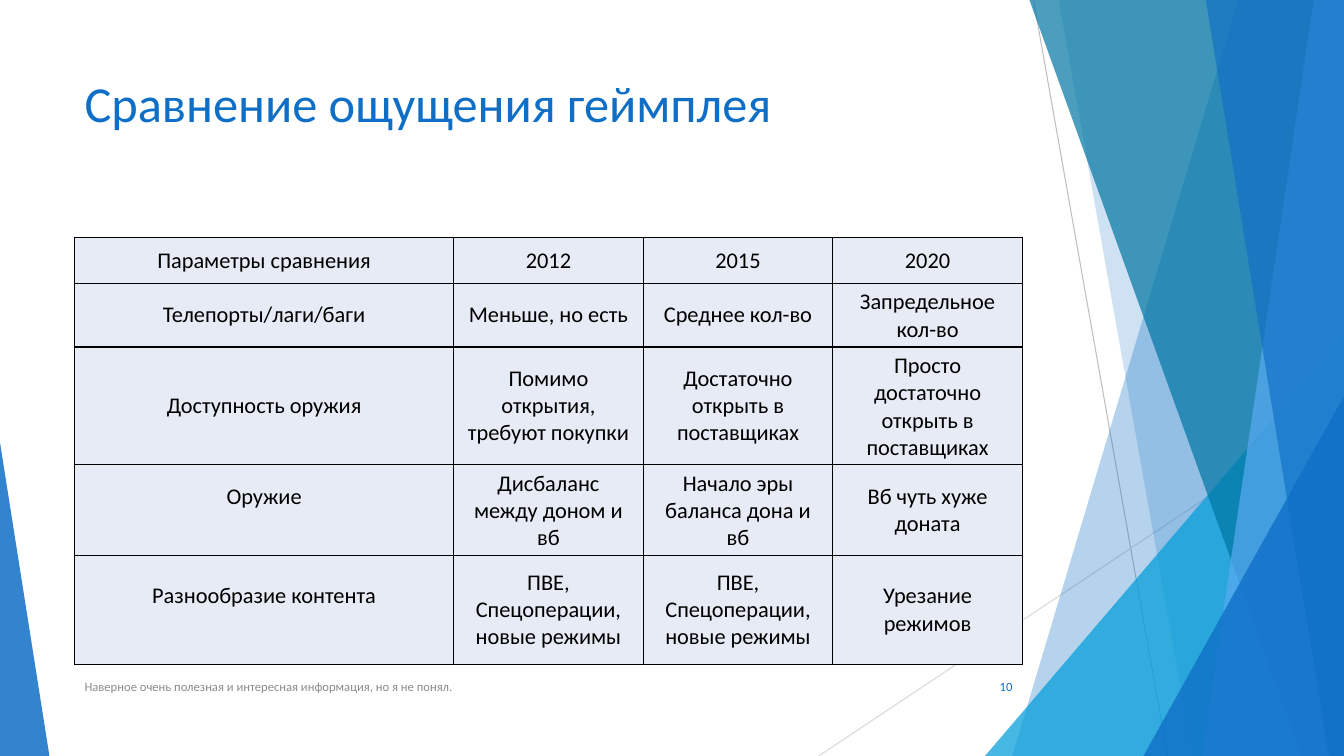
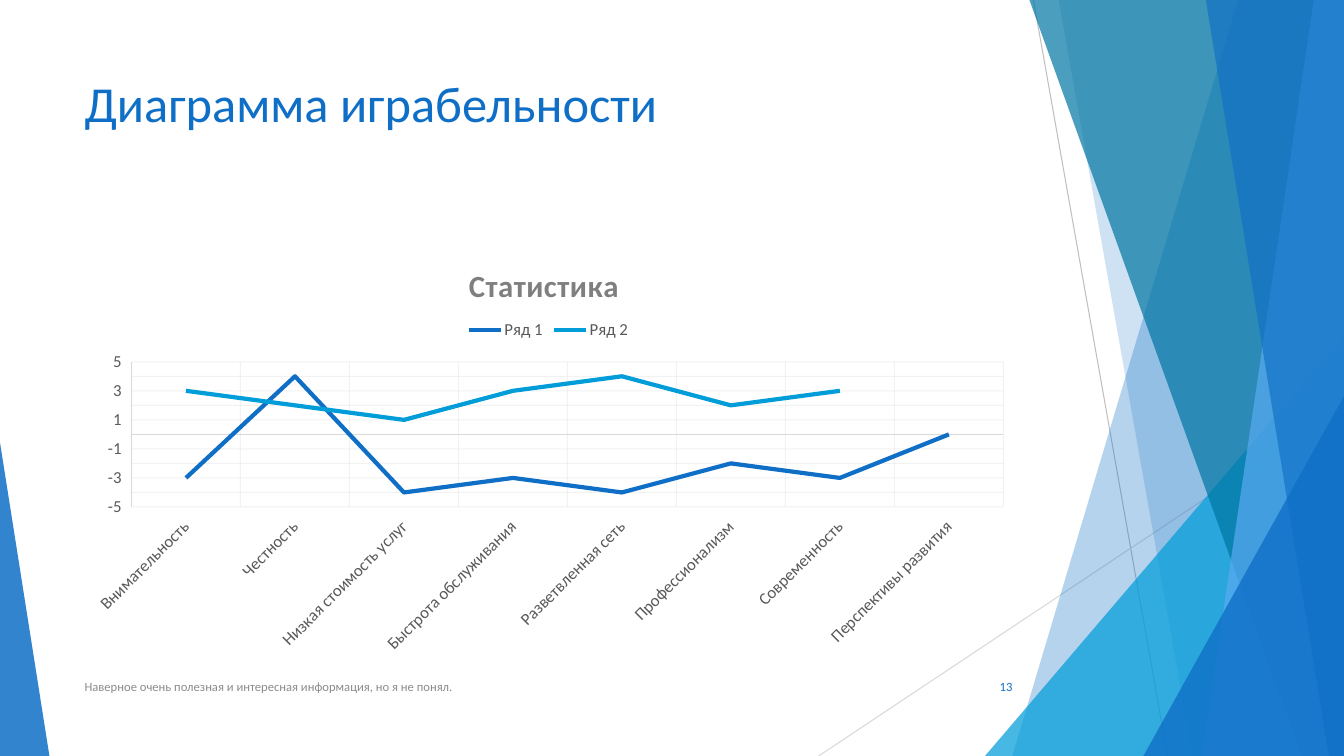
"""Build two slides that compare gameplay in a table and a line chart."""
from pptx import Presentation
from pptx.chart.data import CategoryChartData
from pptx.dml.color import RGBColor
from pptx.enum.chart import XL_CHART_TYPE as CT, XL_LEGEND_POSITION as LEGEND
from pptx.enum.chart import XL_TICK_LABEL_POSITION as LABELS, XL_TICK_MARK as TICK
from pptx.enum.shapes import MSO_CONNECTOR as CONN, MSO_SHAPE as SHAPE
from pptx.enum.text import MSO_ANCHOR as ANCHOR, PP_ALIGN as ALIGN
from pptx.oxml import parse_xml
from pptx.oxml.ns import nsdecls, qn
from pptx.util import Inches, Pt

W, H = 13.33, 7.5
LEFT, TOP, WIDTH = 0.74, 2.36, 9.4
FONT = "Calibri"
HEX = {
    "blue": "0F6FC6", "cyan": "009DD9", "teal": "0076A3", "sky": "59AAF2",
    "cell": "E7EBF5", "black": "000000", "label": "595959", "heading": "7F7F7F",
    "footer": "8C8C8C", "line": "BFBFBF", "grid": "D9D9D9",
}
RGB = {name: RGBColor.from_string(value) for name, value in HEX.items()}
FOOTER = "Наверное очень полезная и интересная информация, но я не понял."
PAGES = [("Сравнение ощущения геймплея", "10"), ("Диаграмма играбельности", "13")]

RAYS = [(10.25, 0, 11.58, H, "line"), (W, 4.03, 8.12, H, "grid")]
PANEL, TRIANGLE = "panel", "triangle"
# Panels give their top and bottom x; triangles give left, right and top.
BANDS = [
    (PANEL, (12.28, 10.04), "blue", 30),
    (PANEL, (10.5, 11.83), "blue", 20),
    (TRIANGLE, (9.77, W, 3.33), "cyan", 72),
    (PANEL, (10.21, 12.91), "teal", 70),
    (PANEL, (13.03, 11.92), "sky", 70),
    (PANEL, (11.96, 13.18), "blue", 65),
    (TRIANGLE, (11.34, W, 3.93), "blue", 80),
    (TRIANGLE, (0, 0.49, 4.39), "blue", 85),
]


def set_alpha(element, percent):
    color = element.find(".//" + qn("a:srgbClr"))
    color.append(parse_xml(f'<a:alpha {nsdecls("a")} val="{percent * 1000}"/>'))


def add_text(s, text, box, size, color, align=ALIGN.LEFT, anchor=ANCHOR.MIDDLE):
    tf = s.shapes.add_textbox(*map(Inches, box)).text_frame
    tf.word_wrap = True
    tf.vertical_anchor = anchor
    p = tf.paragraphs[0]
    p.text = text
    p.alignment = align
    p.font.name, p.font.size, p.font.color.rgb = FONT, Pt(size), RGB[color]


prs = Presentation()
prs.slide_width, prs.slide_height = Inches(W), Inches(H)

for title, number in PAGES:
    s = prs.slides.add_slide(prs.slide_layouts[6])
    for x1, y1, x2, y2, color in RAYS:
        ray = s.shapes.add_connector(CONN.STRAIGHT, *map(Inches, (x1, y1, x2, y2)))
        ray.line.color.rgb, ray.line.width = RGB[color], Pt(0.75)
        ray._element.spPr.append(parse_xml(f'<a:effectLst {nsdecls("a")}/>'))
    for kind, place, color, alpha in BANDS:
        if kind == PANEL:
            x_top, x_bottom = place
            fb = s.shapes.build_freeform(Inches(x_top), 0)
            corners = [(W, 0), (W, H), (x_bottom, H)]
            fb.add_line_segments([(Inches(x), Inches(y)) for x, y in corners])
            sp = fb.convert_to_shape()
        else:
            left, right, top = place
            box = (left, top, right - left, H - top)
            sp = s.shapes.add_shape(SHAPE.ISOSCELES_TRIANGLE, *map(Inches, box))
            sp.adjustments[0] = 1 if right == W else 0
        sp.shadow.inherit = False
        sp.fill.solid()
        sp.fill.fore_color.rgb = RGB[color]
        sp.line.fill.background()
        set_alpha(sp._element, alpha)
    add_text(s, title, (LEFT, 0.67, WIDTH, 1.44), 36, "blue", anchor=ANCHOR.TOP)
    add_text(s, FOOTER, (LEFT, 6.61, 6.89, 0.4), 9, "footer")
    add_text(s, number, (9.39, 6.61, 0.75, 0.4), 9, "blue", ALIGN.RIGHT)

table_slide, chart_slide = prs.slides

rows = [
    ("Параметры сравнения", "2012", "2015", "2020"),
    ("Телепорты/лаги/баги", "Меньше, но есть", "Среднее кол-во", "Запредельное кол-во"),
    ("Доступность оружия", "Помимо открытия, требуют покупки",
     "Достаточно открыть в поставщиках", "Просто достаточно открыть в поставщиках"),
    ("Оружие", "Дисбаланс между доном и вб", "Начало эры баланса дона и вб",
     "Вб чуть хуже доната"),
    ("Разнообразие контента", "ПВЕ, Спецоперации, новые режимы",
     "ПВЕ, Спецоперации, новые режимы", "Урезание режимов"),
]
heights = [0.45, 0.58, 1.08, 0.82, 1.08]
box = (LEFT, TOP, WIDTH, sum(heights))
table = table_slide.shapes.add_table(len(rows), 4, *map(Inches, box)).table
for column, width in zip(table.columns, [3.76, 1.88, 1.88, 1.88]):
    column.width = Inches(width)
for i, (row, height) in enumerate(zip(rows, heights)):
    table.rows[i].height = Inches(height)
    for j, text in enumerate(row):
        cell = table.cell(i, j)
        cell.fill.solid()
        cell.fill.fore_color.rgb = RGB["cell"]
        cell.vertical_anchor = ANCHOR.MIDDLE
        if j == 0 and i >= 3:
            cell.margin_bottom = Inches(0.32)
        p = cell.text_frame.paragraphs[0]
        p.text = text
        p.alignment = ALIGN.CENTER
        p.font.name, p.font.size, p.font.bold = FONT, Pt(16), False
        p.font.color.rgb = RGB["black"]
        tcPr = cell._tc.get_or_add_tcPr()
        for k, side in enumerate(("lnL", "lnR", "lnT", "lnB")):
            tcPr.insert(k, parse_xml(
                f'<a:{side} {nsdecls("a")} w="12700"><a:solidFill>'
                f'<a:srgbClr val="{HEX["black"]}"/></a:solidFill></a:{side}>'))

data = CategoryChartData()
data.categories = [
    "Внимательность", "Честность", "Низкая стоимость услуг", "Быстрота обслуживания",
    "Разветвленная сеть", "Профессионализм", "Современность", "Перспективы развития",
]
data.add_series("Ряд 1", (-3, 4, -4, -3, -4, -2, -3, 0))
data.add_series("Ряд 2", (3, 2, 1, 3, 4, 2, 3, None))
box = (LEFT, TOP, WIDTH, 4.24)
chart = chart_slide.shapes.add_chart(CT.LINE, *map(Inches, box), data).chart
chart.font.name, chart.font.size = FONT, Pt(12)
chart.font.color.rgb = RGB["label"]

p = chart.chart_title.text_frame.paragraphs[0]
r = p.add_run()
r.text = "Статистика"
r.font.name, r.font.size, r.font.bold = FONT, Pt(22), True
r.font.color.rgb = RGB["heading"]
r._r.get_or_add_rPr().set("spc", "50")

chart.has_legend = True
chart.legend.position = LEGEND.TOP
chart.legend.include_in_layout = False

plot = chart.plots[0]
plot.vary_by_categories = False
for series, color in zip(plot.series, ("blue", "cyan")):
    series.smooth = False
    series.format.line.color.rgb, series.format.line.width = RGB[color], Pt(3)

for axis in (chart.category_axis, chart.value_axis):
    axis.tick_label_position = LABELS.LOW
    axis.major_tick_mark = axis.minor_tick_mark = TICK.NONE
    axis.tick_labels.font.size = Pt(12)
    axis.format.line.color.rgb, axis.format.line.width = RGB["grid"], Pt(0.25)
    axis.has_major_gridlines = True
    grid = axis.major_gridlines.format.line
    grid.color.rgb, grid.width = RGB["grid"], Pt(0.75)
    set_alpha(axis._element.find(qn("c:majorGridlines")), 32)
chart.value_axis.minimum_scale, chart.value_axis.maximum_scale = -5, 5
chart.value_axis.major_unit = 1
label_body = chart.category_axis._element.find(qn("c:txPr")).find(qn("a:bodyPr"))
label_body.set("rot", "-2700000")

layouts = [
    ("title", "", {"x": 0.41, "y": 0.05}),
    ("legend", "", {"x": 0.41, "y": 0.19, "w": 0.18, "h": 0.05}),
    ("plotArea", '<c:layoutTarget val="inner"/>', {"x": 0.06, "y": 0.29, "w": 0.92, "h": 0.34}),
]
for tag, target, place in layouts:
    part = chart._chartSpace.find(".//" + qn(f"c:{tag}"))
    for old in part.findall(qn("c:layout")):
        part.remove(old)
    modes = '<c:xMode val="edge"/><c:yMode val="edge"/>'
    sizes = "".join(f'<c:{key} val="{value}"/>' for key, value in place.items())
    layout = parse_xml(
        f'<c:layout {nsdecls("c")}><c:manualLayout>{target}{modes}{sizes}'
        f'</c:manualLayout></c:layout>')
    overlay = part.find(qn("c:overlay"))
    following = part[0] if overlay is None else overlay
    following.addprevious(layout)

prs.save("out.pptx")
